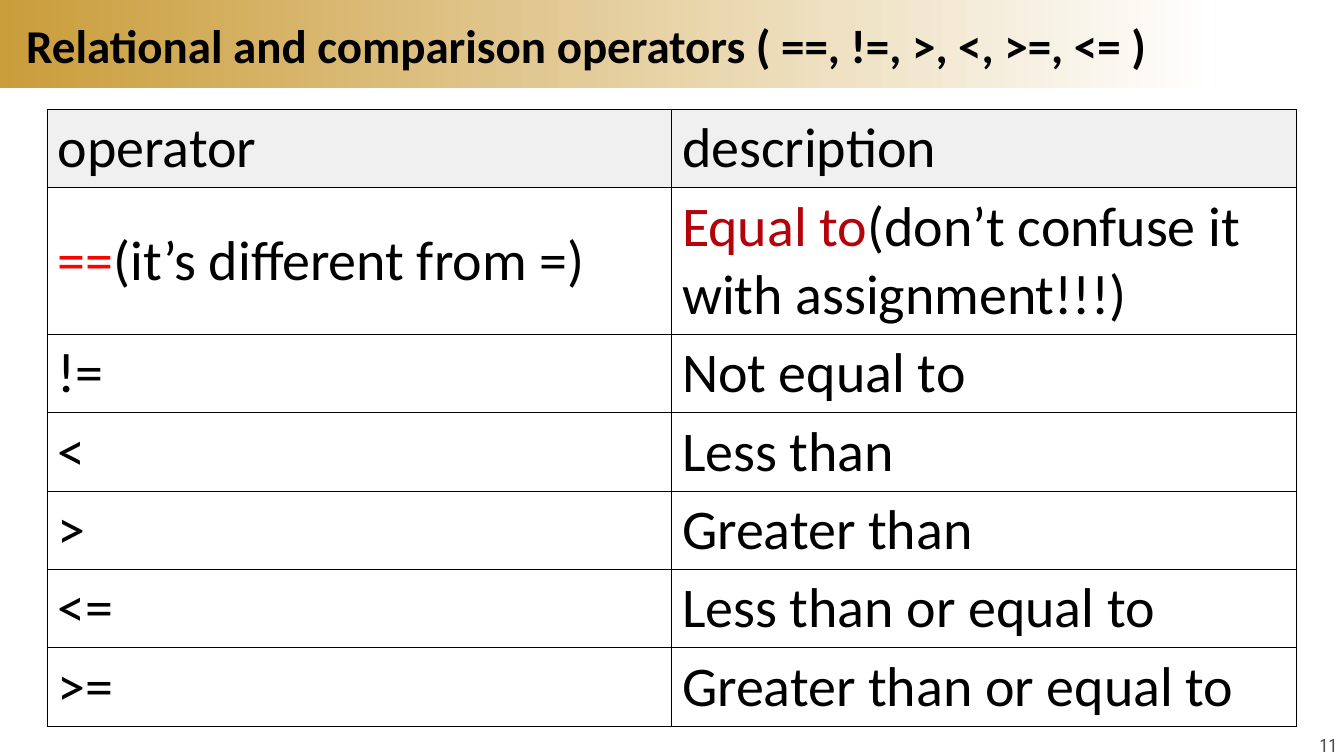
from lxml.etree import SubElement
from pptx import Presentation
from pptx.dml.color import RGBColor
from pptx.enum.shapes import MSO_SHAPE
from pptx.enum.text import MSO_ANCHOR, MSO_AUTO_SIZE, PP_ALIGN
from pptx.oxml.ns import qn
from pptx.util import Pt


def rgb(value):
    return RGBColor.from_string(value)


class Deck:
    """Holds the style and the current slide, and adds each kind of element."""

    black, white, header, gold = "000000", "FFFFFF", "F0F0F0", "CA9D3B"
    font = "Calibri"

    def __init__(self, width, height):
        self.prs = Presentation()
        self.prs.slide_width, self.prs.slide_height = Pt(width), Pt(height)
        self.s = self.prs.slides.add_slide(self.prs.slide_layouts[5])

    def text(self, tf, runs, size, bold=False, font=None, align=PP_ALIGN.LEFT):
        p = tf.paragraphs[0]
        p.alignment = align
        for content, color in runs:
            r = p.add_run()
            r.text = content
            style = {"size": Pt(size), "bold": bold, "name": font or self.font}
            for key, value in style.items():
                setattr(r.font, key, value)
            r.font.color.rgb = rgb(color)

    def frame(self, tf, margins, wrap, anchor):
        style = {"word_wrap": wrap, "vertical_anchor": anchor,
                 "auto_size": MSO_AUTO_SIZE.NONE}
        sides = ("margin_left", "margin_top", "margin_right", "margin_bottom")
        style.update(zip(sides, map(Pt, margins)))
        for key, value in style.items():
            setattr(tf, key, value)

    def band(self, width, height):
        sp = self.s.shapes.add_shape(MSO_SHAPE.RECTANGLE, 0, 0, Pt(width), Pt(height))
        sp.shadow.inherit = False
        sp.line.fill.background()
        sp.fill.gradient()
        sp.fill.gradient_angle = 0
        for stop, color in zip(sp.fill.gradient_stops, (self.gold, self.white)):
            stop.color.rgb = rgb(color)
        self.s.shapes.title._element.addprevious(sp._element)

    def title(self, content, left, top, width, height):
        sp = self.s.shapes.title
        box = {"left": left, "top": top, "width": width, "height": height}
        for key, value in box.items():
            setattr(sp, key, Pt(value))
        self.frame(sp.text_frame, (0, 0, 0, 0), True, MSO_ANCHOR.MIDDLE)
        self.text(sp.text_frame, [(content, self.black)], 33.6, bold=True)

    def label(self, content, left, top, width, height):
        tf = self.s.shapes.add_textbox(Pt(left), Pt(top), Pt(width), Pt(height)).text_frame
        self.frame(tf, (5, 3, 5, 3), False, MSO_ANCHOR.TOP)
        self.text(tf, [(content, "4D4D4D")], 13.2, font="Roboto Condensed",
                  align=PP_ALIGN.CENTER)

    def border(self, cell):
        tcPr = cell._tc.get_or_add_tcPr()
        for i, side in enumerate(("lnL", "lnR", "lnT", "lnB")):
            ln = tcPr.makeelement(qn("a:" + side), {"w": str(Pt(0.75))})
            fill = SubElement(ln, qn("a:solidFill"))
            SubElement(fill, qn("a:srgbClr"), val=self.black)
            tcPr.insert(i, ln)

    def table(self, rows, heights, left, top, width):
        columns = len(rows[0])
        table = self.s.shapes.add_table(len(rows), columns, Pt(left), Pt(top),
                                        Pt(width), Pt(sum(heights))).table
        for i, (row, height) in enumerate(zip(rows, heights)):
            table.rows[i].height = Pt(height)
            for j, content in enumerate(row):
                cell = table.cell(i, j)
                cell.vertical_anchor = MSO_ANCHOR.MIDDLE
                cell.fill.solid()
                cell.fill.fore_color.rgb = rgb(self.white if i else self.header)
                self.border(cell)
                runs = [(content, self.black)] if isinstance(content, str) else content
                self.text(cell.text_frame, runs, 40)


def main():
    deck = Deck(960, 540)
    deck.band(868.3, 62.6)
    deck.title("Relational and comparison operators ( ==, !=, >, <, >=, <= )",
               18.7, 7.2, 922.3, 49)
    rows = [
        ("operator", "description"),
        ([("==", "FF0000"), ("(it’s different from =)", Deck.black)],
         [("Equal to", "B2040A"), ("(don’t confuse it with assignment!!!)", Deck.black)]),
        ("!=", "Not equal to"),
        ("<", "Less than"),
        (">", "Greater than"),
        ("<=", "Less than or equal to"),
        (">=", "Greater than or equal to"),
    ]
    heights = [104.8 if i == 1 else 56 for i in range(len(rows))]
    deck.table(rows, heights, 34, 78, 892)
    deck.label("11", 937.4, 521.3, 23, 18.7)
    deck.prs.save("out.pptx")


if __name__ == "__main__":
    main()
